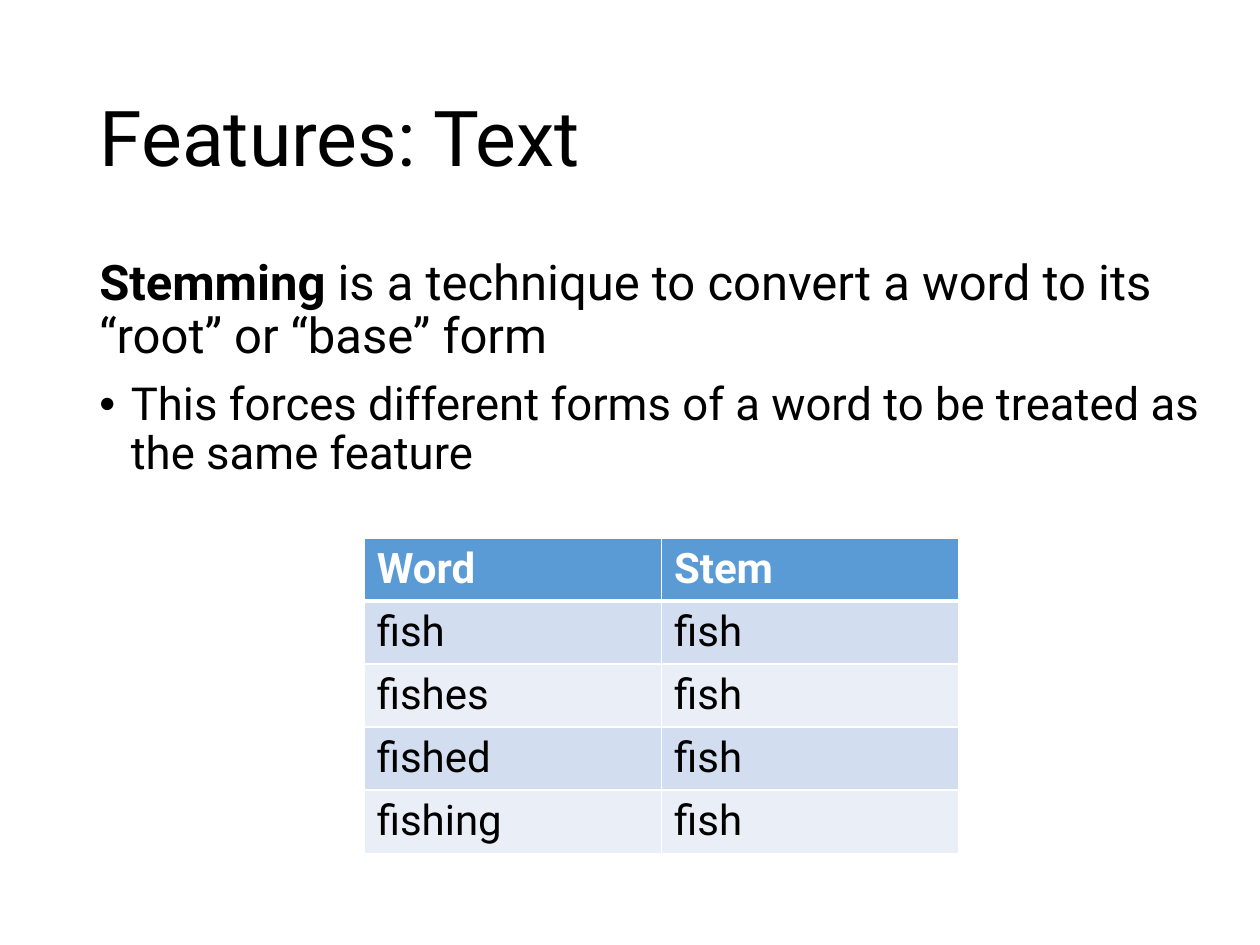
from lxml.etree import SubElement
from pptx import Presentation
from pptx.dml.color import RGBColor
from pptx.enum.text import MSO_ANCHOR, MSO_AUTO_SIZE, PP_ALIGN
from pptx.oxml.ns import qn
from pptx.util import Inches, Pt

COLORS = {
    "text": "000000",
    "white": "FFFFFF",
    "header": "5B9BD5",
    "odd": "D2DEEF",
    "even": "EAEFF7",
}


def add_run(paragraph, text, size, color="text", bold=False):
    run = paragraph.add_run()
    run.text = text
    run.font.name = "Roboto"
    run.font.size = Pt(size)
    run.font.bold = bold
    run.font.color.rgb = RGBColor.from_string(COLORS[color])


def add_border(properties, side, width):
    line = SubElement(properties, qn(f"a:{side}"), w=str(Pt(width)))
    fill = SubElement(line, qn("a:solidFill"))
    SubElement(fill, qn("a:srgbClr"), val=COLORS["white"])


presentation = Presentation()
presentation.slide_width = Inches(10)
presentation.slide_height = Inches(7.5)
slide = presentation.slides.add_slide(presentation.slide_layouts[5])

title = slide.shapes.title
title.left, title.top = Inches(0.69), Inches(0.4)
title.width, title.height = Inches(8.62), Inches(1.45)
title.text_frame.auto_size = MSO_AUTO_SIZE.NONE
title.text_frame.vertical_anchor = MSO_ANCHOR.MIDDLE
title_paragraph = title.text_frame.paragraphs[0]
title_paragraph.alignment = PP_ALIGN.LEFT
title_paragraph.line_spacing = 0.9
add_run(title_paragraph, "Features: Text", 44)

body = slide.shapes.add_textbox(Inches(0.69), Inches(2), Inches(9.13), Inches(4.94))
body.text_frame.word_wrap = True
definition = body.text_frame.paragraphs[0]
add_run(definition, "Stemming", 28, bold=True)
add_run(definition, " is a technique to convert a word to its “root” or “base” form", 28)
effect = body.text_frame.add_paragraph()
add_run(effect, "This forces different forms of a word to be treated as the same feature", 26)
for paragraph in (definition, effect):
    paragraph.line_spacing = 0.9
    paragraph.space_before = Pt(10)

bullet = effect._p.get_or_add_pPr()
bullet.set("marL", str(Inches(0.25)))
bullet.set("indent", str(Inches(-0.25)))
SubElement(bullet, qn("a:buFont"), typeface="Arial")
SubElement(bullet, qn("a:buChar"), char="•")

rows = [
    ("Word", "Stem"),
    ("fish", "fish"),
    ("fishes", "fish"),
    ("fished", "fish"),
    ("fishing", "fish"),
]
row_height = Inches(0.49)
table = slide.shapes.add_table(
    len(rows), 2, Inches(2.89), Inches(4.27), Inches(4.72), row_height * len(rows)
).table
for row_index, words in enumerate(rows):
    is_header = row_index == 0
    fill_name = "header" if is_header else "odd" if row_index % 2 else "even"
    for column_index, word in enumerate(words):
        cell = table.cell(row_index, column_index)
        add_run(
            cell.text_frame.paragraphs[0], word, 24,
            "white" if is_header else "text", is_header,
        )
        properties = cell._tc.get_or_add_tcPr()
        for side in ("lnL", "lnR", "lnT", "lnB"):
            thick = (row_index, side) in ((0, "lnB"), (1, "lnT"))
            add_border(properties, side, 3 if thick else 1)
        cell.fill.solid()
        cell.fill.fore_color.rgb = RGBColor.from_string(COLORS[fill_name])

presentation.save("out.pptx")
